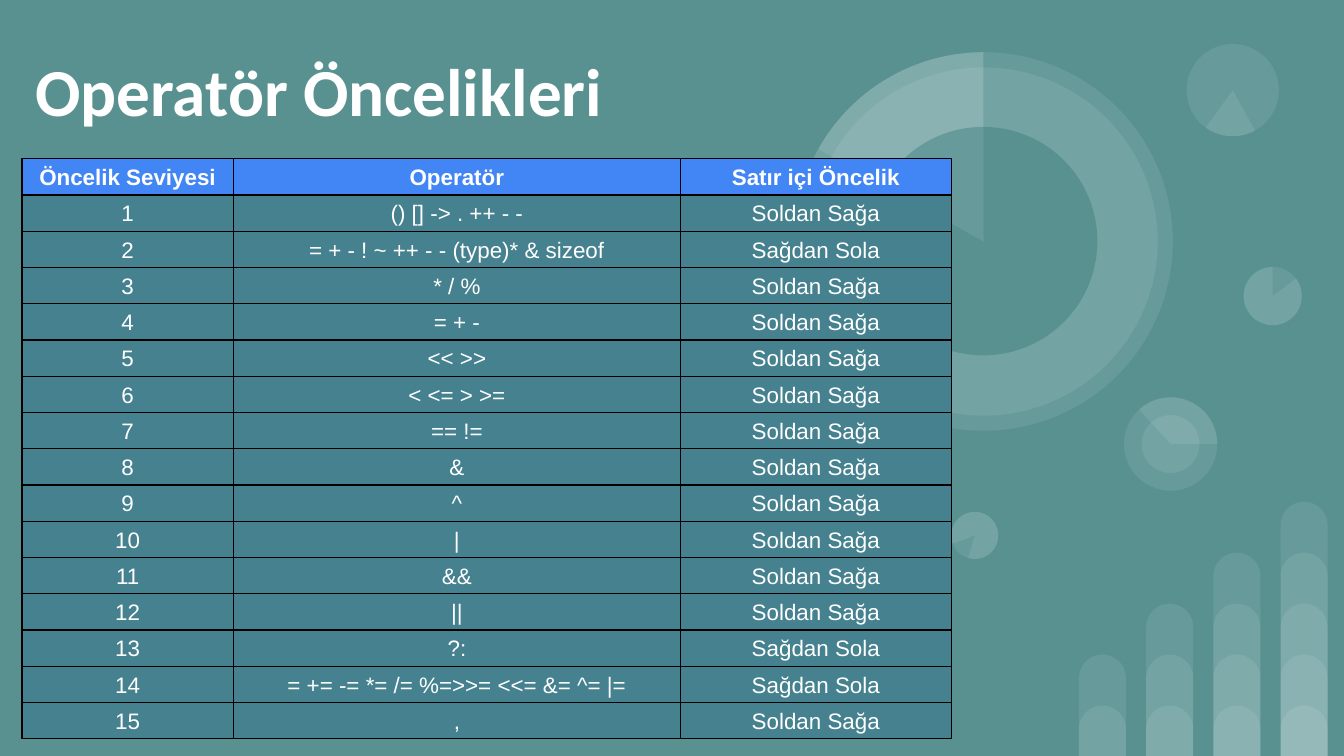
from lxml import etree
from pptx import Presentation
from pptx.dml.color import RGBColor
from pptx.enum import shapes, text
from pptx.oxml.ns import qn
from pptx.util import Pt

# Content
TITLE = "Operatör Öncelikleri"
HEADER = ("Öncelik Seviyesi", "Operatör", "Satır içi Öncelik")
OPERATORS = [
    "() [] -> . ++ - -", "= + - ! ~ ++ - - (type)* & sizeof", "* / %", "= + -",
    "<< >>", "< <= > >=", "== !=", "&", "^", "|", "&&", "||", "?:",
    "= += -= *= /= %=>>= <<= &= ^= |=", ",",
]
RIGHT_TO_LEFT = {2, 13, 14}
ROWS = [HEADER] + [
    (str(n), op, "Sağdan Sola" if n in RIGHT_TO_LEFT else "Soldan Sağa")
    for n, op in enumerate(OPERATORS, 1)
]

THEME = dict(
    bg="599191", ink="FFFFFF", header="4285F4", body="45818E", border="000000",
    alpha=9, title_font="Calibri", table_font="Arial", title_size=36, table_size=12,
)

# Layout, in points
W, H = 720, 405
COLS, ROW_H = (113.2, 239.6, 145), 19.14
TABLE_X, TABLE_Y = 11.8, 85.1
BAR_X, BAR_W, BAR_STEP, BAR_H, BAR_RISE = 578, 25.2, 36, 27, 27.3
BAR_ORDER = (1, 3, 2, 4, 0)

# Dials: left, top, diameter, rotation, start angle of the pie (None for a disc)
SMALL = (666.2, 143, 31.2)
TINY = (509.6, 274.2, 25.2)
TARGET = (602.1, 212.9, 50)
TOP = (635.7, 23.6, 49.4)
RING = (425.5, 28, 202.8)
DIALS = [
    (*SMALL, 0, None), (*TINY, 196.2, None),
    (*TARGET, 90, None), (*TARGET, 90, 137.41), (611.6, 222.4, 31, 90, None),
    (*SMALL, 0, 322.95), (*TOP, 215.9, None), (*TOP, 215.9, 205.23),
    (*RING, 0, None), (433.6, 36.1, 186.6, 34.1, None), (*RING, 0, 146.69),
    (465.5, 68, 122.4, 34.1, "hole"),
    (*RING, 0, 209.24), (*TINY, 196.2, 322.95),
]
PIE_END = 270
ANGLE_UNIT = 0.6  # adjustment value per degree


def rgb(name):
    return RGBColor.from_string(THEME[name])


def add_text(tf, content, font, size, bold=False, align=None, spacing=None):
    p = tf.paragraphs[0]
    p.alignment, p.line_spacing = align, spacing
    r = p.add_run()
    r.text = content
    r.font.name, r.font.size, r.font.bold = font, Pt(size), bold
    r.font.color.rgb = rgb("ink")


def add_figure(s, kind, x, y, w, h, color="ink", alpha=None, rotation=0, adjust=()):
    sp = s.shapes.add_shape(kind, Pt(x), Pt(y), Pt(w), Pt(h))
    sp.shadow.inherit = False
    sp.line.fill.background()
    sp.fill.solid()
    sp.fill.fore_color.rgb = rgb(color)
    sp.rotation = rotation
    for i, value in enumerate(adjust):
        sp.adjustments[i] = value
    if alpha:
        clr = sp.fill._xPr.find(qn("a:solidFill"))[0]
        etree.SubElement(clr, qn("a:alpha"), val=str(alpha * 1000))


def add_borders(cell, width=0.75):
    tc_pr = cell._tc.get_or_add_tcPr()
    for side in "LRTB":
        ln = etree.SubElement(tc_pr, qn(f"a:ln{side}"), w=str(Pt(width)))
        fill = etree.SubElement(ln, qn("a:solidFill"))
        etree.SubElement(fill, qn("a:srgbClr"), val=THEME["border"])


def add_bars(s):
    for col in range(4):
        for level in BAR_ORDER:
            if level <= col + 1:
                h = BAR_H + level * BAR_RISE
                add_figure(s, shapes.MSO_SHAPE.ROUND_2_SAME_RECTANGLE,
                           BAR_X + col * BAR_STEP, H - h, BAR_W, h,
                           alpha=THEME["alpha"], adjust=(0.5, 0))


def add_dials(s):
    for x, y, d, rotation, start in DIALS:
        if start == "hole":
            add_figure(s, shapes.MSO_SHAPE.OVAL, x, y, d, d, "bg", rotation=rotation)
        elif start is None:
            add_figure(s, shapes.MSO_SHAPE.OVAL, x, y, d, d,
                       alpha=THEME["alpha"], rotation=rotation)
        else:
            add_figure(s, shapes.MSO_SHAPE.PIE, x, y, d, d,
                       alpha=THEME["alpha"], rotation=rotation,
                       adjust=(start * ANGLE_UNIT, PIE_END * ANGLE_UNIT))


def add_title(s):
    tf = s.shapes.add_textbox(Pt(11.8), Pt(10.3), Pt(388), Pt(75.6)).text_frame
    tf.word_wrap = True
    tf.vertical_anchor = text.MSO_ANCHOR.MIDDLE
    tf.margin_left = tf.margin_right = tf.margin_top = tf.margin_bottom = Pt(7.2)
    add_text(tf, TITLE, THEME["title_font"], THEME["title_size"], bold=True)


def add_priority_table(s):
    table = s.shapes.add_table(len(ROWS), len(COLS), Pt(TABLE_X), Pt(TABLE_Y),
                               Pt(sum(COLS)), Pt(ROW_H * len(ROWS))).table
    table.horz_banding = False
    for column, width in zip(table.columns, COLS):
        column.width = Pt(width)
    for i, row in enumerate(ROWS):
        table.rows[i].height = Pt(ROW_H)
        for j, content in enumerate(row):
            cell = table.cell(i, j)
            cell.margin_left = cell.margin_right = Pt(2.16)
            cell.margin_top = cell.margin_bottom = Pt(1.44)
            add_borders(cell)
            cell.fill.solid()
            cell.fill.fore_color.rgb = rgb("body" if i else "header")
            add_text(cell.text_frame, content, THEME["table_font"], THEME["table_size"],
                     bold=i == 0, align=text.PP_ALIGN.CENTER, spacing=1.15)


def main():
    prs = Presentation()
    prs.slide_width, prs.slide_height = Pt(W), Pt(H)
    s = prs.slides.add_slide(prs.slide_layouts[6])
    s.background.fill.solid()
    s.background.fill.fore_color.rgb = rgb("bg")
    # Decoration behind, then the content
    add_bars(s)
    add_dials(s)
    add_title(s)
    add_priority_table(s)
    prs.save("out.pptx")


if __name__ == "__main__":
    main()
